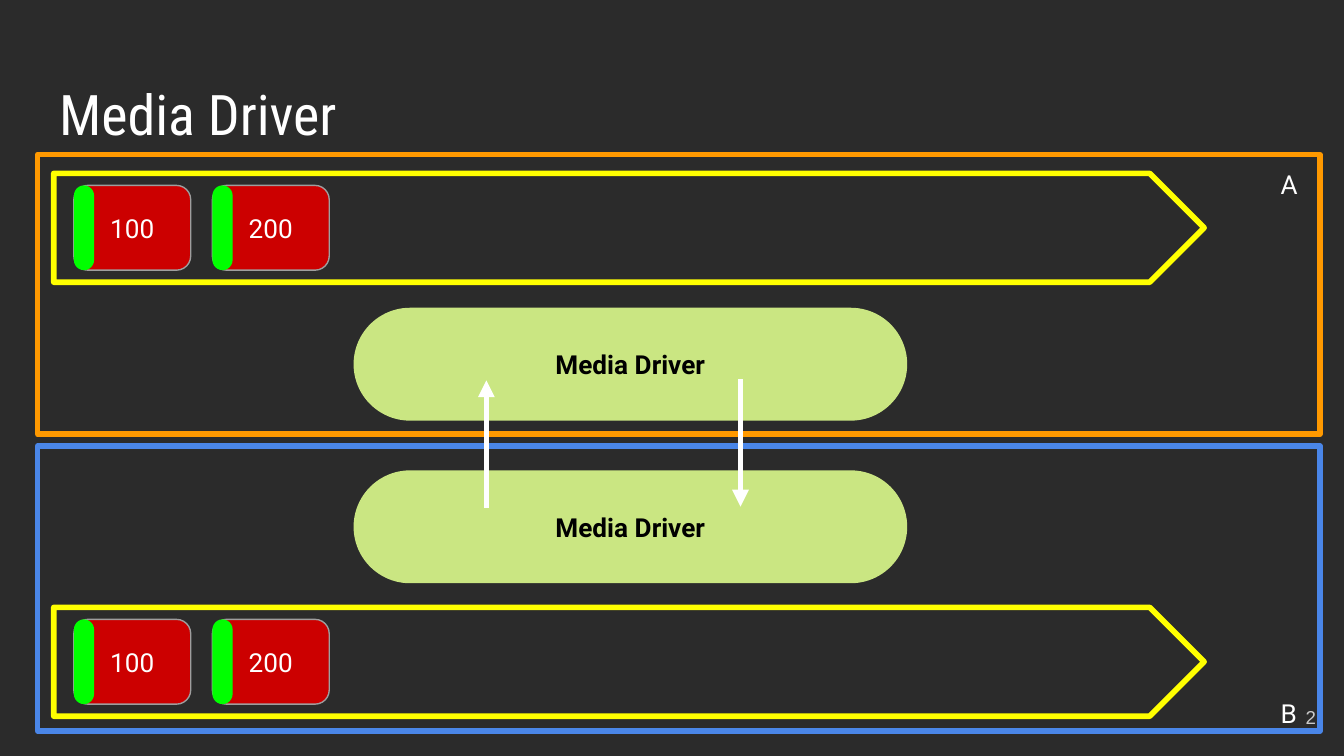
from lxml.etree import SubElement
from pptx import Presentation
from pptx.dml.color import RGBColor
from pptx.enum.shapes import MSO_CONNECTOR, MSO_SHAPE
from pptx.enum.text import MSO_ANCHOR, PP_ALIGN
from pptx.oxml.ns import qn
from pptx.util import Pt

# Content: lengths in points
COLORS = {
    "background": "2B2B2B", "white": "FFFFFF", "black": "000000",
    "orange": "FF9900", "blue": "4A86E8", "yellow": "FFFF00",
    "red": "CC0000", "outline": "9E9E9E", "green": "00FF00",
    "lime": "CAE682", "number": "CACACA",
}
TITLE = "Media Driver"
HOSTS = [
    {"color": "orange", "panel": (82.8, 149.8), "stream_top": 92.9,
     "driver_top": 164.9, "label": ("A", 82.8, 31)},
    {"color": "blue", "panel": (239, 152.6), "stream_top": 325.4,
     "driver_top": 252, "label": ("B", 366.5, 22.3)},
]
DRIVER = "Media Driver"
MESSAGES = ["100", "200"]
ARROWS = [(396.7, 203, 271.4), (260.6, 272.2, 203.8)]  # x, start y, end y
PAGE_NUMBER = "2"

# Shared geometry
PANEL_LEFT, PANEL_WIDTH = 20.2, 686.9
STREAM_LEFT, STREAM_WIDTH, STREAM_HEIGHT = 28.8, 616.3, 58.3
MESSAGE_LEFT, MESSAGE_STEP = 39.6, 74.2
MESSAGE_WIDTH, MESSAGE_HEIGHT, HEADER_WIDTH = 62.6, 45.4, 10.8
DRIVER_LEFT, DRIVER_WIDTH, DRIVER_HEIGHT = 189.4, 296.6, 60.5
LABEL_LEFT, LABEL_WIDTH = 679, 28.1

presentation = Presentation()
presentation.slide_width, presentation.slide_height = Pt(720), Pt(405)
slide = presentation.slides.add_slide(presentation.slide_layouts[5])


def rgb(name):
    return RGBColor.from_string(COLORS[name])


def write(shape, text, color, size=14, font="Roboto", bold=False,
          align=PP_ALIGN.LEFT, anchor=MSO_ANCHOR.TOP):
    frame = shape.text_frame
    frame_format = {"word_wrap": True, "vertical_anchor": anchor}
    frame_format.update({f"margin_{side}": Pt(7.2)
                         for side in ("left", "top", "right", "bottom")})
    for name, value in frame_format.items():
        setattr(frame, name, value)
    paragraph = frame.paragraphs[0]
    paragraph.alignment = align
    run = paragraph.add_run()
    run.text = text
    for name, value in {"name": font, "size": Pt(size), "bold": bold}.items():
        setattr(run.font, name, value)
    run.font.color.rgb = rgb(color)


def add_box(kind, box, fill=None, line=None, width=3, adjustment=None):
    shape = slide.shapes.add_shape(kind, *map(Pt, box))
    shape.shadow.inherit = False
    if adjustment is not None:
        shape.adjustments[0] = adjustment
    if fill:
        shape.fill.solid()
        shape.fill.fore_color.rgb = rgb(fill)
    else:
        shape.fill.background()
    if line:
        shape.line.color.rgb = rgb(line)
        shape.line.width = Pt(width)
    else:
        shape.line.fill.background()
    return shape


def add_label(box, text, color, **text_format):
    write(slide.shapes.add_textbox(*map(Pt, box)), text, color, **text_format)


def add_message(left, top, text):
    shape = add_box(MSO_SHAPE.ROUNDED_RECTANGLE,
                    (left, top, MESSAGE_WIDTH, MESSAGE_HEIGHT),
                    "red", "outline", 0.75, 0.167)
    write(shape, text, "white", align=PP_ALIGN.CENTER, anchor=MSO_ANCHOR.MIDDLE)
    add_box(MSO_SHAPE.ROUNDED_RECTANGLE,
            (left, top, HEADER_WIDTH, MESSAGE_HEIGHT), "green", adjustment=0.5)


def add_arrow(x, start, end):
    arrow = slide.shapes.add_connector(
        MSO_CONNECTOR.STRAIGHT, Pt(x), Pt(start), Pt(x), Pt(end))
    arrow.line.color.rgb = rgb("white")
    arrow.line.width = Pt(3)
    SubElement(arrow.line._get_or_add_ln(), qn("a:tailEnd"), type="triangle")
    SubElement(arrow._element.spPr, qn("a:effectLst"))


# Background and title
slide.background.fill.solid()
slide.background.fill.fore_color.rgb = rgb("background")
title = slide.shapes.title
title_box = {"left": 24.5, "top": 35.3, "width": 671, "height": 45.4}
for name, value in title_box.items():
    setattr(title, name, Pt(value))
write(title, TITLE, "white", size=30, font="Roboto Condensed")

# Each host: panel, label, stream of messages and driver
for host in HOSTS:
    panel_top, panel_height = host["panel"]
    add_box(MSO_SHAPE.FLOWCHART_PROCESS,
            (PANEL_LEFT, panel_top, PANEL_WIDTH, panel_height),
            line=host["color"])
    text, label_top, label_height = host["label"]
    add_label((LABEL_LEFT, label_top, LABEL_WIDTH, label_height), text, "white")

    stream_top = host["stream_top"]
    add_box(MSO_SHAPE.PENTAGON,
            (STREAM_LEFT, stream_top, STREAM_WIDTH, STREAM_HEIGHT),
            line="yellow", adjustment=0.5)
    message_top = stream_top + (STREAM_HEIGHT - MESSAGE_HEIGHT) / 2
    for index, message in enumerate(MESSAGES):
        add_message(MESSAGE_LEFT + index * MESSAGE_STEP, message_top, message)

    driver = add_box(MSO_SHAPE.ROUNDED_RECTANGLE,
                     (DRIVER_LEFT, host["driver_top"], DRIVER_WIDTH, DRIVER_HEIGHT),
                     "lime", adjustment=0.5)
    write(driver, DRIVER, "black", bold=True,
          align=PP_ALIGN.CENTER, anchor=MSO_ANCHOR.MIDDLE)

# Traffic between the drivers
for arrow_points in ARROWS:
    add_arrow(*arrow_points)

# Page number
add_label((668.9, 368.6, 43.2, 31), PAGE_NUMBER, "number", size=10,
          font="Arial", align=PP_ALIGN.RIGHT, anchor=MSO_ANCHOR.MIDDLE)

presentation.save("out.pptx")
